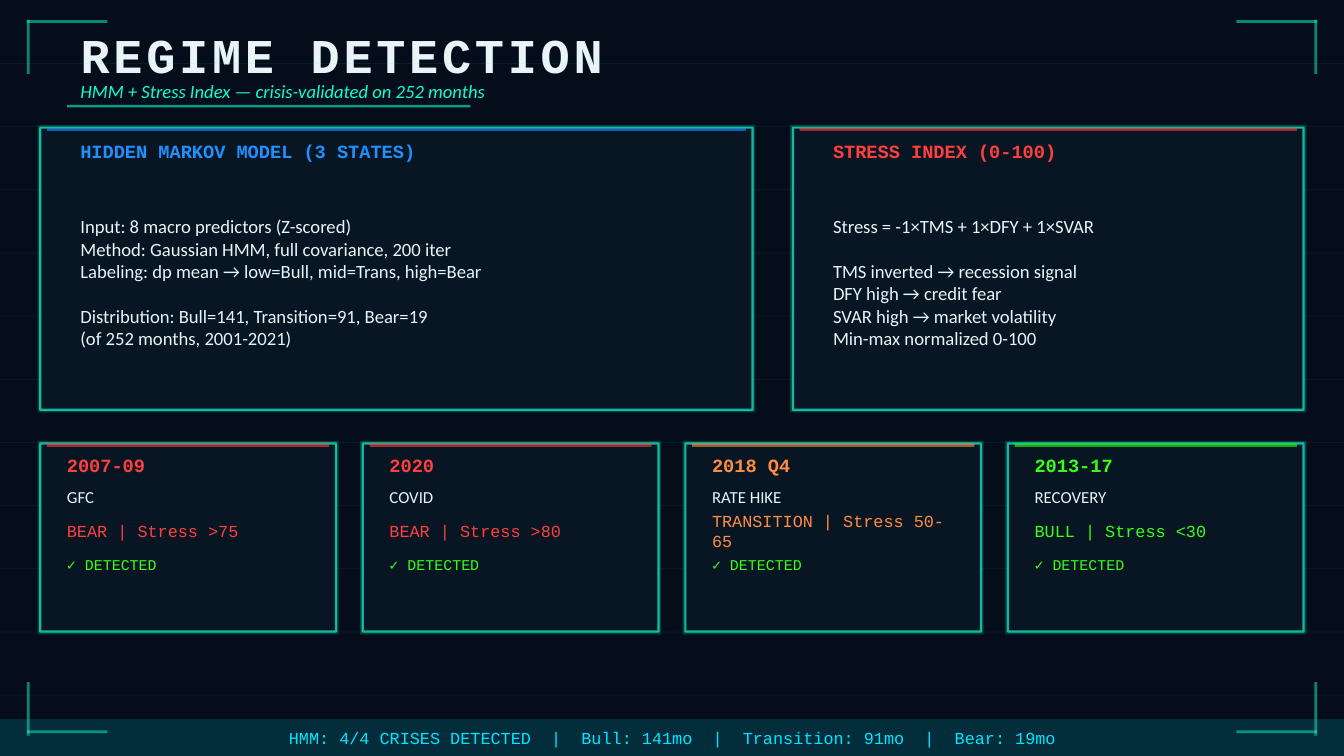
from dataclasses import dataclass

import lxml.etree
import pptx
import pptx.dml.color
import pptx.enum.shapes
import pptx.enum.text
import pptx.oxml.ns
import pptx.util

WIDTH = 10
HEIGHT = WIDTH * 9 / 16
MARGIN = 0.3
CONTENT = WIDTH - 2 * MARGIN
ROW = 0.47  # pitch of the background lines
HAIRLINE = WIDTH / 2000
STRIP = WIDTH / 400
CARD_GAP = 0.2
FOOTER_TOP = 5.35


@dataclass(frozen=True)
class Theme:
    back: str = "050D1A"
    panel: str = "091422"
    teal: str = "0CFFD0"
    cyan: str = "00E5FF"
    blue: str = "1E90FF"
    red: str = "FF3E3E"
    orange: str = "FF8C42"
    green: str = "39FF14"
    text: str = "E8F4F8"
    mono: str = "Courier New"
    sans: str = "Calibri"
    title: int = 26
    body: int = 10
    label: int = 9
    note: int = 8


T = Theme()


@dataclass(frozen=True)
class Box:
    x: float
    y: float
    w: float
    h: float

    def inches(self) -> list:
        return [pptx.util.Inches(v) for v in (self.x, self.y, self.w, self.h)]


@dataclass(frozen=True)
class Panel:
    heading: str
    color: str
    width: float
    blocks: tuple  # groups of lines, set apart by one line of space


@dataclass(frozen=True)
class Crisis:
    period: str
    event: str
    verdict: str
    color: str


PANELS = [
    Panel("HIDDEN MARKOV MODEL (3 STATES)", T.blue, 5.3, (
        ("Input: 8 macro predictors (Z-scored)",
         "Method: Gaussian HMM, full covariance, 200 iter",
         "Labeling: dp mean → low=Bull, mid=Trans, high=Bear"),
        ("Distribution: Bull=141, Transition=91, Bear=19",
         "(of 252 months, 2001-2021)"))),
    Panel("STRESS INDEX (0-100)", T.red, 3.8, (
        ("Stress = -1×TMS + 1×DFY + 1×SVAR",),
        ("TMS inverted → recession signal",
         "DFY high → credit fear",
         "SVAR high → market volatility",
         "Min-max normalized 0-100"))),
]
CRISES = [
    Crisis("2007-09", "GFC", "BEAR | Stress >75", T.red),
    Crisis("2020", "COVID", "BEAR | Stress >80", T.red),
    Crisis("2018 Q4", "RATE HIKE", "TRANSITION | Stress 50-65", T.orange),
    Crisis("2013-17", "RECOVERY", "BULL | Stress <30", T.green),
]


def rgb(color: str) -> pptx.dml.color.RGBColor:
    return pptx.dml.color.RGBColor.from_string(color)


def fade(sp, where: str, opacity: int) -> None:
    """Set the opacity, in percent, of the solid fill found at an XPath."""
    color = sp._element.xpath(f"p:spPr/{where}/a:srgbClr")[0]
    alpha = lxml.etree.SubElement(color, pptx.oxml.ns.qn("a:alpha"))
    alpha.set("val", str(opacity * 1000))


def rect(slide, box: Box, color: str, opacity: int, outline: bool = False) -> None:
    sp = slide.shapes.add_shape(pptx.enum.shapes.MSO_SHAPE.RECTANGLE, *box.inches())
    sp.shadow.inherit = False
    sp.fill.solid()
    sp.fill.fore_color.rgb = rgb(color)
    fade(sp, "a:solidFill", opacity)
    if outline:
        sp.line.color.rgb = rgb(T.teal)
        sp.line.width = pptx.util.Pt(1.2)
        fade(sp, "a:ln/a:solidFill", 70)
    else:
        sp.line.fill.background()


def write(slide, box: Box, *blocks: tuple, size: int = T.body, color: str = T.text,
          font: str = T.sans, bold: bool = False, italic: bool = False,
          center: bool = False, spacing: int = 0, sp=None) -> None:
    """Write groups of lines into a new text box, or into the shape given as sp."""
    if sp is None:
        sp = slide.shapes.add_textbox(*box.inches())
    else:
        sp.left, sp.top, sp.width, sp.height = box.inches()
    align = pptx.enum.text.PP_ALIGN
    tf = sp.text_frame
    tf.word_wrap = True
    tf.auto_size = pptx.enum.text.MSO_AUTO_SIZE.NONE
    tf.vertical_anchor = pptx.enum.text.MSO_ANCHOR.MIDDLE
    lines = [(line, b > 0 and i == 0)
             for b, block in enumerate(blocks) for i, line in enumerate(block)]
    for n, (line, gap) in enumerate(lines):
        p = tf.add_paragraph() if n else tf.paragraphs[0]
        p.alignment = align.CENTER if center else align.LEFT
        if gap:
            p.space_before = pptx.util.Pt(1.2 * size)
        r = p.add_run()
        r.text = line
        r.font.name, r.font.size = font, pptx.util.Pt(size)
        r.font.bold, r.font.italic = bold, italic
        r.font.color.rgb = rgb(color)
        if spacing:
            r._r.get_or_add_rPr().set("spc", str(spacing * 100))


def backdrop(slide) -> None:
    for n in range(1, int(HEIGHT / ROW) + 1):
        rect(slide, Box(0, n * ROW, WIDTH, HAIRLINE), T.teal, 8)
    for bar_y, post_y in ((0.15, 0.15), (HEIGHT - 0.19, HEIGHT - 0.55)):
        for bar_x, post_x in ((0.2, 0.2), (WIDTH - 0.8, WIDTH - 0.22)):
            rect(slide, Box(bar_x, bar_y, 0.6, 0.02), T.teal, 50)
            rect(slide, Box(post_x, post_y, 0.02, 0.4), T.teal, 50)


def frame(slide, b: Box, accent: str) -> None:
    """Draw a glowing frame with a coloured strip on its top edge."""
    rect(slide, Box(b.x - 0.02, b.y - 0.02, b.w + 0.04, b.h + 0.04), T.teal, 20)
    rect(slide, b, T.panel, 95, outline=True)
    rect(slide, Box(b.x + 0.05, b.y, b.w - 0.1, STRIP), accent, 60)


def draw_panel(slide, panel: Panel, x: float) -> None:
    b = Box(x, 0.95, panel.width, 2.1)
    frame(slide, b, panel.color)
    inner_x, inner_w = b.x + 0.2, b.w - 0.4
    write(slide, Box(inner_x, b.y + 0.05, inner_w, 0.25), (panel.heading,),
          color=panel.color, font=T.mono, bold=True)
    write(slide, Box(inner_x, b.y + 0.4, inner_w, 1.5), *panel.blocks)


def draw_crisis(slide, crisis: Crisis, x: float, width: float) -> None:
    b = Box(x, 3.3, width, 1.4)
    frame(slide, b, crisis.color)
    rows = [
        (crisis.period, dict(color=crisis.color, font=T.mono, bold=True)),
        (crisis.event, dict(size=T.label)),
        (crisis.verdict, dict(size=T.label, color=crisis.color, font=T.mono)),
        ("✓ DETECTED", dict(size=T.note, color=T.green, font=T.mono)),
    ]
    for n, (line, style) in enumerate(rows):
        height = 0.2 if n else 0.22
        write(slide, Box(b.x + 0.1, b.y + 0.05 + n * 0.25, b.w - 0.2, height),
              (line,), **style)


def main() -> None:
    prs = pptx.Presentation()
    prs.slide_width, prs.slide_height = pptx.util.Inches(WIDTH), pptx.util.Inches(HEIGHT)
    slide = prs.slides.add_slide(prs.slide_layouts[5])
    slide.background.fill.solid()
    slide.background.fill.fore_color.rgb = rgb(T.back)
    backdrop(slide)

    write(slide, Box(0.5, 0.18, 9, 0.45), ("REGIME DETECTION",), size=T.title,
          font=T.mono, bold=True, spacing=2, sp=slide.shapes.title)
    write(slide, Box(0.5, 0.55, 9, 0.25),
          ("HMM + Stress Index — crisis-validated on 252 months",),
          color=T.teal, italic=True)
    rect(slide, Box(0.5, 0.78, 3, 0.02), T.teal, 60)

    x = MARGIN
    for panel in PANELS:
        draw_panel(slide, panel, x)
        x += panel.width + 0.3

    pitch = (CONTENT + CARD_GAP) / len(CRISES)
    for n, crisis in enumerate(CRISES):
        draw_crisis(slide, crisis, MARGIN + n * pitch, pitch - CARD_GAP)

    footer_height = HEIGHT - FOOTER_TOP
    rect(slide, Box(0, FOOTER_TOP, WIDTH, footer_height), T.cyan, 15)
    write(slide, Box(MARGIN, FOOTER_TOP, CONTENT, footer_height),
          ("HMM: 4/4 CRISES DETECTED  |  Bull: 141mo  |  Transition: 91mo  |  Bear: 19mo",),
          size=T.label, color=T.cyan, font=T.mono, center=True)
    prs.save("out.pptx")


if __name__ == "__main__":
    main()
